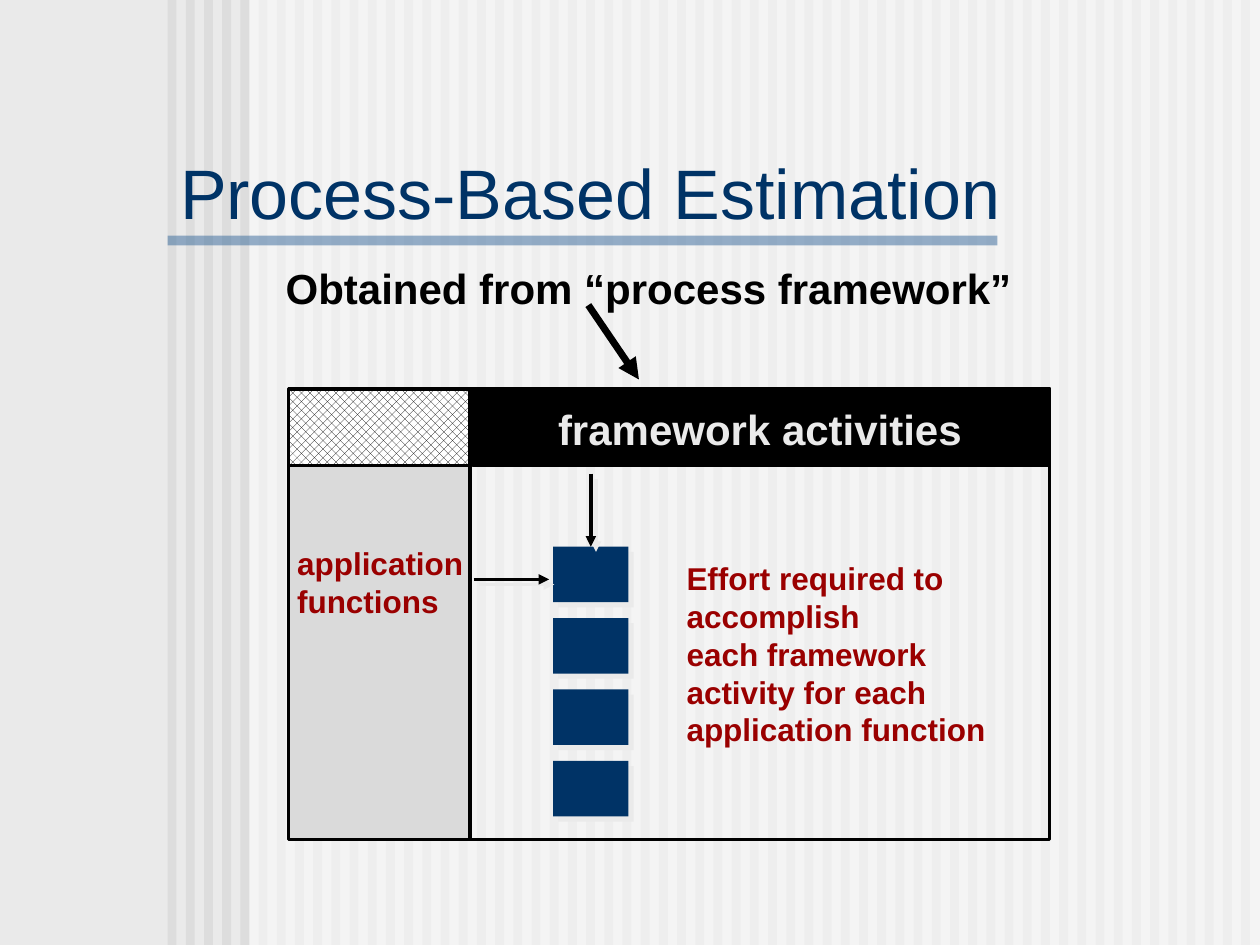
from dataclasses import dataclass

from lxml.etree import SubElement
from pptx import Presentation
from pptx.dml.color import RGBColor
from pptx.enum.dml import MSO_PATTERN
from pptx.enum.shapes import MSO_CONNECTOR, MSO_SHAPE
from pptx.enum.text import MSO_ANCHOR, MSO_AUTO_SIZE
from pptx.oxml.ns import qn
from pptx.util import Cm, Pt


@dataclass(frozen=True)
class Theme:
    font: str = "Arial"
    backdrop: str = "EAEAEA"
    stripe: str = "DDDDDD"
    white: str = "FFFFFF"
    black: str = "000000"
    navy: str = "003366"
    rule: str = "336699"
    column: str = "DADADA"
    red: str = "9A0000"
    title_size: int = 40
    heading_size: int = 24
    label_size: int = 18
    thin: int = 2
    thick: int = 4


def rgb(value):
    return RGBColor.from_string(value)


def write(tf, text, *, font, size, color, bold=False, spacing=None):
    """Fill a text frame, one paragraph for each line of text."""
    for i, line in enumerate(text.split("\n")):
        p = tf.paragraphs[0] if i == 0 else tf.add_paragraph()
        if spacing:
            p.line_spacing = spacing
        r = p.add_run()
        r.text = line
        r.font.name = font
        r.font.size = Pt(size)
        r.font.bold = bold
        r.font.color.rgb = rgb(color)


def set_shadow(sp, color=None):
    """Give a shape a hard offset shadow, or none when color is missing."""
    props = sp._element.spPr
    for old in props.findall(qn("a:effectLst")):
        props.remove(old)
    effects = SubElement(props, qn("a:effectLst"))
    if color:
        outer = SubElement(effects, qn("a:outerShdw"), blurRad="0",
                           dist=str(Pt(4.2)), dir=str(45 * 60000),
                           algn="ctr", rotWithShape="0")
        SubElement(outer, qn("a:srgbClr"), val=color)


class SlideBuilder:
    def __init__(self, prs, theme):
        self.theme = theme
        self.s = prs.slides.add_slide(prs.slide_layouts[6])
        fill = self.s.background.fill
        fill.solid()
        fill.fore_color.rgb = rgb(theme.backdrop)

    def box(self, x, y, w, h, fill=None, alpha=None, outlined=False, shadow=None):
        sp = self.s.shapes.add_shape(MSO_SHAPE.RECTANGLE, Cm(x), Cm(y), Cm(w), Cm(h))
        if fill:
            sp.fill.solid()
            sp.fill.fore_color.rgb = rgb(fill)
        else:
            sp.fill.background()
        if alpha:
            color = sp._element.spPr.find(qn("a:solidFill"))[0]
            SubElement(color, qn("a:alpha"), val=str(alpha * 1000))
        if outlined:
            sp.line.color.rgb = rgb(self.theme.black)
            sp.line.width = Pt(self.theme.thin)
        else:
            sp.line.fill.background()
        set_shadow(sp, shadow)
        return sp

    def hatched_box(self, x, y, w, h):
        sp = self.box(x, y, w, h, outlined=True)
        sp.fill.patterned()
        sp.fill.pattern = MSO_PATTERN.PERCENT_50
        sp.fill.fore_color.rgb = rgb(self.theme.black)
        sp.fill.back_color.rgb = rgb(self.theme.white)

    def text(self, x, y, w, h, text, wrap=False, anchor=MSO_ANCHOR.TOP,
             grow=True, **style):
        tf = self.s.shapes.add_textbox(Cm(x), Cm(y), Cm(w), Cm(h)).text_frame
        tf.word_wrap = wrap
        tf.vertical_anchor = anchor
        tf.auto_size = MSO_AUTO_SIZE.SHAPE_TO_FIT_TEXT if grow else MSO_AUTO_SIZE.NONE
        write(tf, text, font=self.theme.font, **style)

    def arrow(self, x1, y1, x2, y2, width, shadow=None):
        line = self.s.shapes.add_connector(
            MSO_CONNECTOR.STRAIGHT, Cm(x1), Cm(y1), Cm(x2), Cm(y2))
        line.line.color.rgb = rgb(self.theme.black)
        line.line.width = Pt(width)
        SubElement(line.line._get_or_add_ln(), qn("a:tailEnd"), type="triangle")
        set_shadow(line, shadow)
        return line


def draw_backdrop(b, t):
    first, last, count = 3.38, 25.02, 60
    for i in range(count):
        b.box(first + i * (last - first) / (count - 1), 0, 0.18, 19.05, t.stripe)
    b.box(5.03, 0, 20.37, 19.05, t.white, alpha=50)
    b.box(first, 4.75, 16.73, 0.2, t.rule, alpha=50)


def draw_headings(b, t):
    b.text(3.38, 2.97, 19.89, 1.8, "Process-Based Estimation", wrap=True,
           anchor=MSO_ANCHOR.MIDDLE, grow=False, size=t.title_size, color=t.navy)
    b.text(5.51, 5.28, 15.2, 1.17, "Obtained from “process framework”",
           size=t.heading_size, color=t.black, bold=True, spacing=0.9)


def draw_matrix(b, t):
    left, top, side_w, head_h, height = 5.82, 7.84, 3.66, 1.55, 9.09
    b.box(5.89, top, 15.27, height, outlined=True)
    b.box(left, top, side_w, height, t.column, outlined=True)
    b.box(9.53, top, 11.63, head_h, t.black, outlined=True)
    b.hatched_box(left, top, side_w, head_h)

    label = dict(size=t.label_size, color=t.red, bold=True)
    b.text(5.74, 10.85, 3.9, 1.78, "application\nfunctions", **label)
    b.text(11, 8, 8.8, 1.27, "framework activities",
           size=t.heading_size, color=t.backdrop, bold=True)
    b.arrow(11.86, 6.15, 12.88, 7.65, t.thick)
    b.text(13.59, 11.15, 6.81, 4.06,
           "Effort required to accomplish\n"
           "each framework activity for each application function",
           wrap=True, **label)


def draw_effort_blocks(b, t):
    x, y, pitch = 11.15, 11.02, 1.44
    blocks = [b.box(x, y + i * pitch, 1.52, 1.12, t.navy, shadow=t.backdrop)
              for i in range(4)]
    down = b.arrow(11.91, 9.55, 11.91, y, t.thin, shadow=t.backdrop)
    down.end_connect(blocks[0], 0)
    b.arrow(9.55, 11.68, 11.07, 11.68, t.thin, shadow=t.backdrop)


def main():
    prs = Presentation()
    prs.slide_width, prs.slide_height = Cm(25.4), Cm(19.05)
    theme = Theme()
    builder = SlideBuilder(prs, theme)
    for draw in (draw_backdrop, draw_headings, draw_matrix, draw_effort_blocks):
        draw(builder, theme)
    prs.save("out.pptx")


if __name__ == "__main__":
    main()
